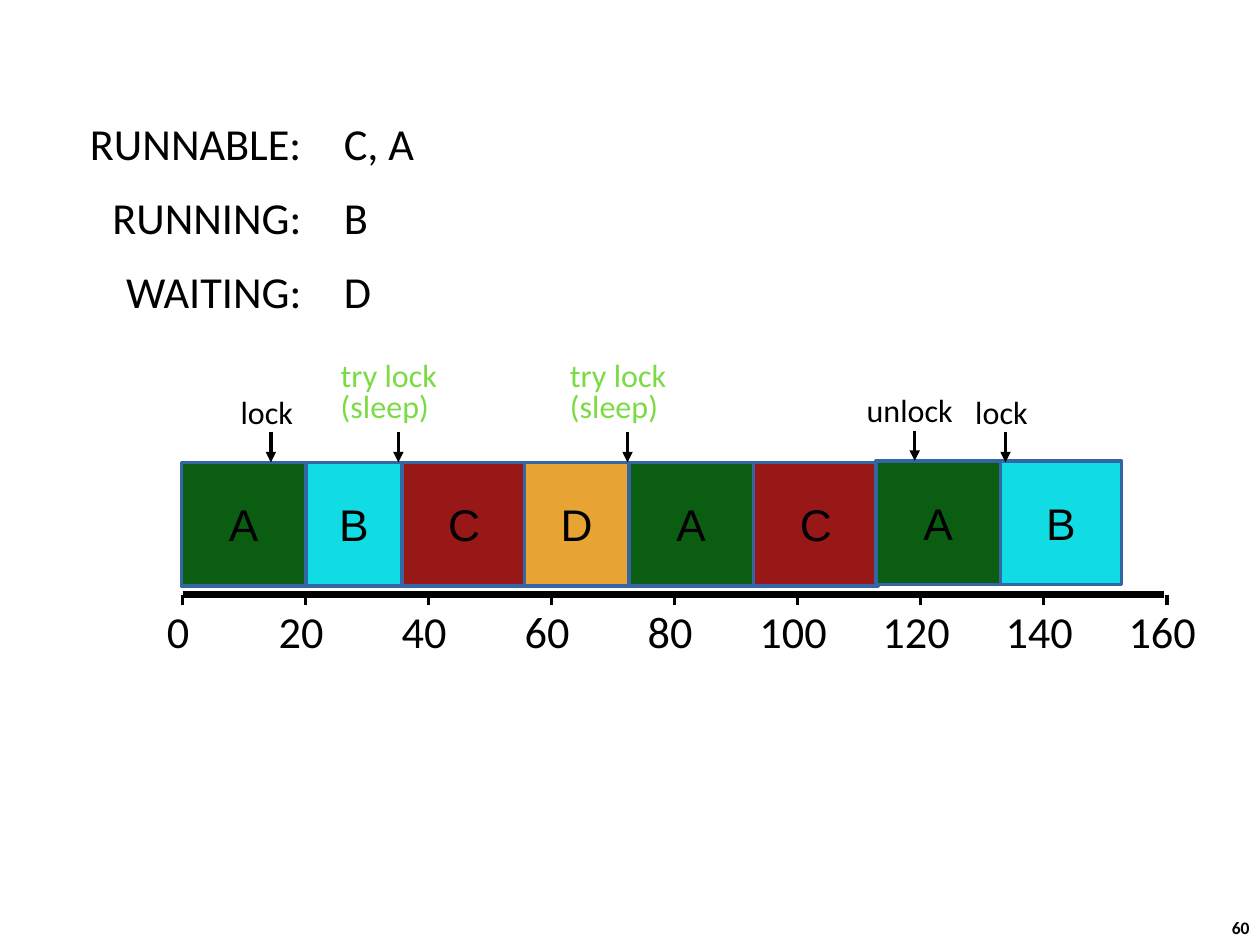
from lxml.etree import SubElement
from pptx import Presentation
from pptx.dml.color import RGBColor
from pptx.enum.shapes import MSO_CONNECTOR, MSO_SHAPE
from pptx.enum.text import MSO_ANCHOR as ANCHOR, PP_ALIGN as ALIGN
from pptx.oxml.ns import qn
from pptx.util import Cm, Pt

BLACK = RGBColor(0x00, 0x00, 0x00)
GREEN = RGBColor(0x0B, 0x5D, 0x12)
CYAN = RGBColor(0x11, 0xDB, 0xE3)
RED = RGBColor(0x97, 0x18, 0x17)
ORANGE = RGBColor(0xE8, 0xA4, 0x33)
LIME = RGBColor(0x7B, 0xDB, 0x45)
OUTLINE = RGBColor(0x34, 0x65, 0xA4)
THREAD_COLORS = {"A": GREEN, "B": CYAN, "C": RED, "D": ORANGE}
LARGE, SMALL = 25.3, 18.3
LIFT = 0.03

STATES = [("RUNNABLE: ", "C, A", 4.8, 1.65), ("RUNNING: ", "B", 4.27, 0.69),
          ("WAITING: ", "D", 3.99, 0.76)]
RUNS = [("A", 0, 2.51, 0), ("B", 2.51, 1.93, 0), ("C", 4.44, 2.51, 0),
        ("D", 6.91, 2.11, 0), ("A", 9.02, 2.51, 0), ("C", 11.53, 2.51, 0),
        ("A", 14, 2.51, LIFT), ("B", 16.51, 2.44, LIFT)]
EVENTS = [(["lock"], 1.8, 0.71, 1.27, 0),
          (["try lock", "(sleep)"], 4.37, 1.26, 2.16, 0),
          (["try lock", "(sleep)"], 8.99, 1.26, 2.16, 0),
          (["unlock"], 14.78, 1.07, 1.96, LIFT),
          (["lock"], 16.61, 0.71, 1.27, 0)]


def add_run(p, text, size, font="Calibri", color=BLACK, bold=False):
    """Append one formatted run to a paragraph."""
    r = p.add_run()
    r.text = text
    r.font.name, r.font.size, r.font.bold = font, Pt(size), bold
    r.font.color.rgb = color


def add_label(s, lines, x, y, w, h, size, align=ALIGN.LEFT, color=BLACK,
              spacing=None, bold=False):
    """Add a tight, unwrapped text box with one paragraph per line."""
    tf = s.shapes.add_textbox(Cm(x), Cm(y), Cm(w), Cm(h)).text_frame
    tf.word_wrap = False
    tf.vertical_anchor = ANCHOR.MIDDLE
    tf.margin_left = tf.margin_right = tf.margin_top = tf.margin_bottom = Cm(0.1)
    for i, line in enumerate(lines):
        p = tf.add_paragraph() if i else tf.paragraphs[0]
        p.alignment, p.line_spacing = align, spacing
        add_run(p, line, size, color=color, bold=bold)


def add_line(s, x1, y1, x2, y2, width, arrow=False):
    """Add a black straight line, with an arrowhead at its end if asked."""
    c = s.shapes.add_connector(MSO_CONNECTOR.STRAIGHT, Cm(x1), Cm(y1), Cm(x2), Cm(y2))
    c.line.color.rgb, c.line.width = BLACK, Pt(width)
    if arrow:
        SubElement(c.line._get_or_add_ln(), qn("a:tailEnd"), type="triangle")
    SubElement(c._element.spPr, qn("a:effectLst"))


def add_states(s, x, y, w, h):
    """List the scheduler queues and the threads in each."""
    names_right, row = x + w * 0.7, h / len(STATES)
    for i, (name, threads, name_w, threads_w) in enumerate(STATES):
        top = y + i * row
        add_label(s, [name], names_right - name_w, top, name_w, 1.27, LARGE, ALIGN.RIGHT)
        add_label(s, [threads], names_right + 0.45, top, threads_w, 1.27, LARGE)


def add_axis(s, x, y, w, last=160, step=20):
    """Draw the time axis with evenly spaced ticks and values."""
    add_line(s, x, y, x + w - 0.05, y, 4)
    label_w = 1.58
    for value in range(0, last + 1, step):
        tick = x + w * value / last
        add_line(s, tick, y, tick, y + 0.2, 2)
        add_label(s, [str(value)], tick - 0.09 - label_w / 2, y + 0.1, label_w, 1.27,
                  LARGE, ALIGN.CENTER)


def add_timeline(s, x, y, h):
    """Draw the time slice of each thread in order."""
    for name, left, width, lift in RUNS:
        sp = s.shapes.add_shape(MSO_SHAPE.RECTANGLE, Cm(x + left), Cm(y - lift),
                                Cm(width), Cm(h))
        sp.shadow.inherit = False
        sp.fill.solid()
        sp.fill.fore_color.rgb = THREAD_COLORS[name]
        sp.line.color.rgb, sp.line.width = OUTLINE, Pt(2)
        tf = sp.text_frame
        tf.margin_left = tf.margin_right = tf.margin_top = tf.margin_bottom = 0
        tf.vertical_anchor = ANCHOR.MIDDLE
        p = tf.paragraphs[0]
        p.alignment = ALIGN.CENTER
        add_run(p, name, LARGE, "Arial")


def add_events(s, x, y):
    """Mark lock events with arrows that end on the timeline's top edge."""
    for lines, at, offset, width, lift in EVENTS:
        end, sleeps = y - lift, len(lines) > 1
        top, height = (end - 2.11, 1.47) if sleeps else (end - 1.52, 0.99)
        add_label(s, lines, x + at - offset, top, width, height, SMALL,
                  color=LIME if sleeps else BLACK, spacing=0.8 if sleeps else None)
        add_line(s, x + at, end - 0.61, x + at, end, 2, arrow=True)


def add_page_number(s, x, y, w, h):
    """Put the page number in the lower right corner."""
    add_label(s, ["60"], x, y, w, h, 10, ALIGN.CENTER, bold=True)


def main():
    """Build and save the slide."""
    prs = Presentation()
    prs.slide_width, prs.slide_height = Cm(25.4), Cm(19.05)
    s = prs.slides.add_slide(prs.slide_layouts[6])
    add_states(s, 1.58, 2.24, 6.86, 4.47)
    add_axis(s, 3.68, 11.99, 19.84)
    add_timeline(s, 3.66, 9.32, 2.49)
    add_events(s, 3.66, 9.32)
    add_page_number(s, 24.54, 18.36, 0.94, 0.69)
    prs.save("out.pptx")


if __name__ == "__main__":
    main()
